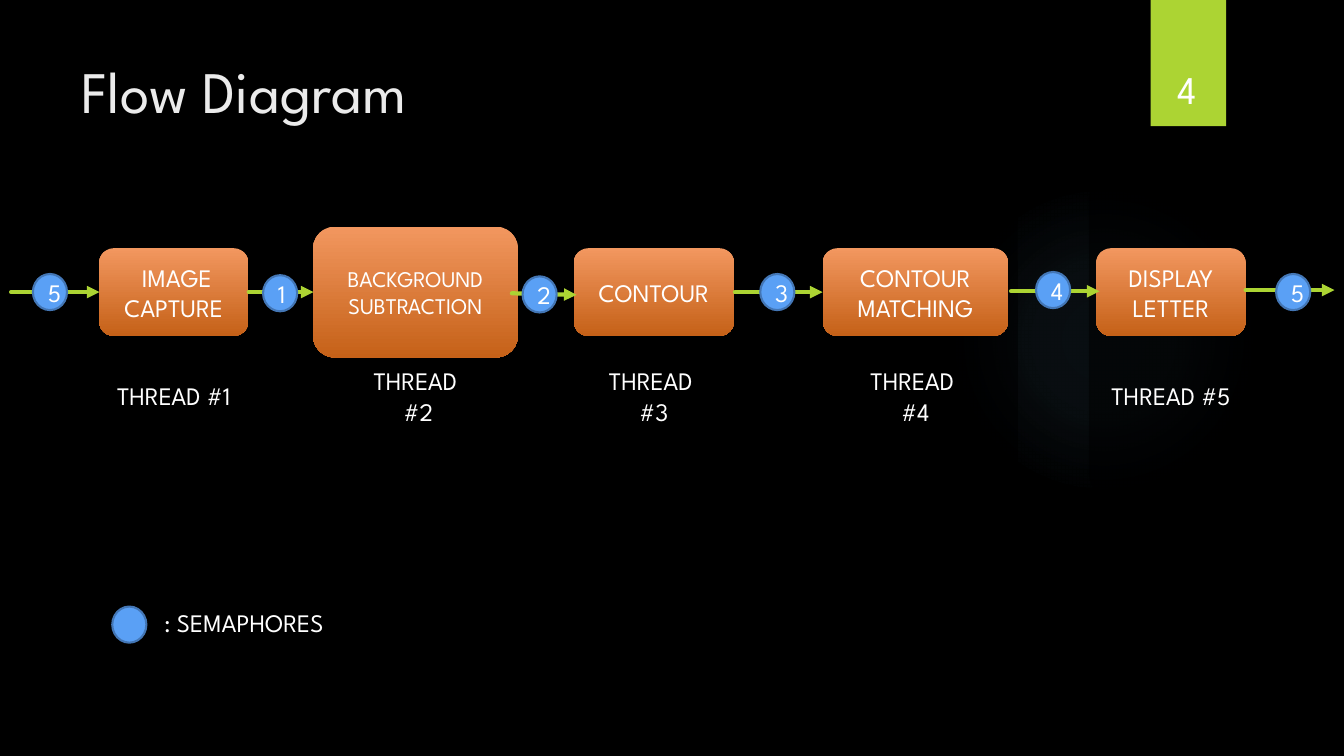
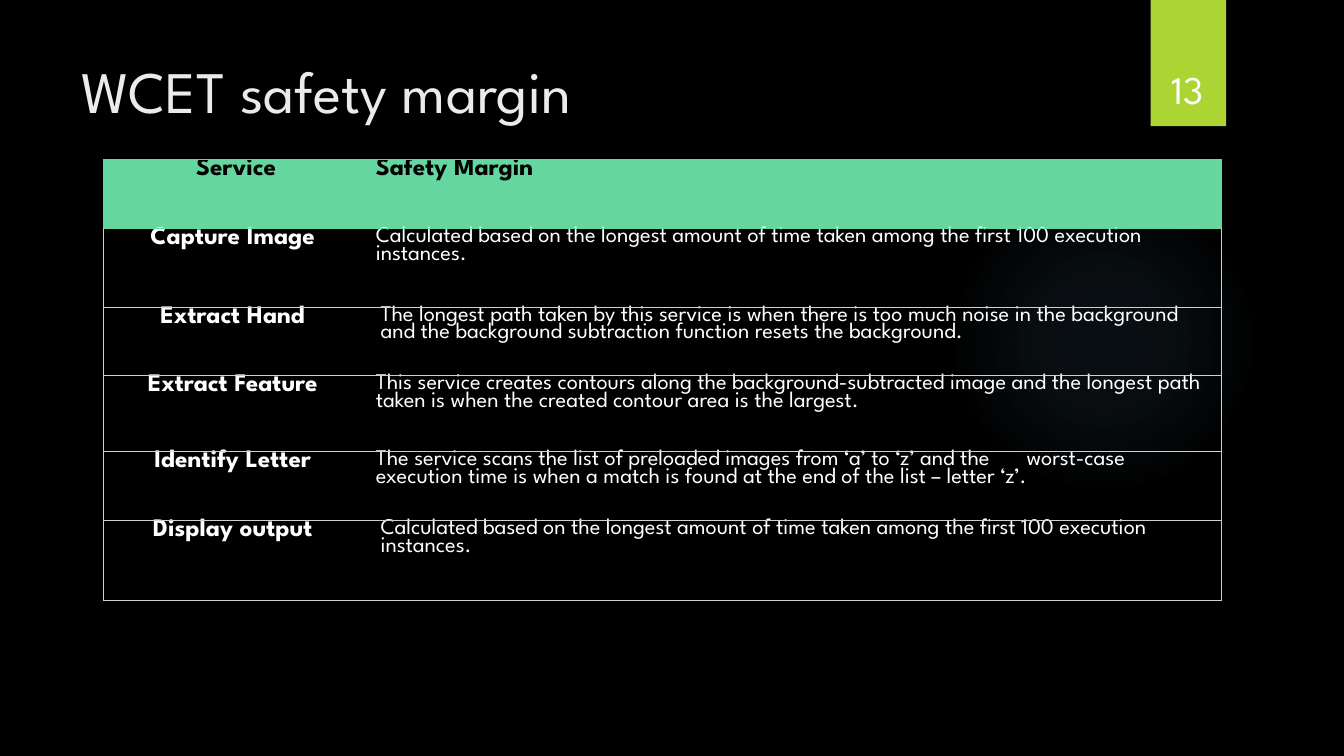
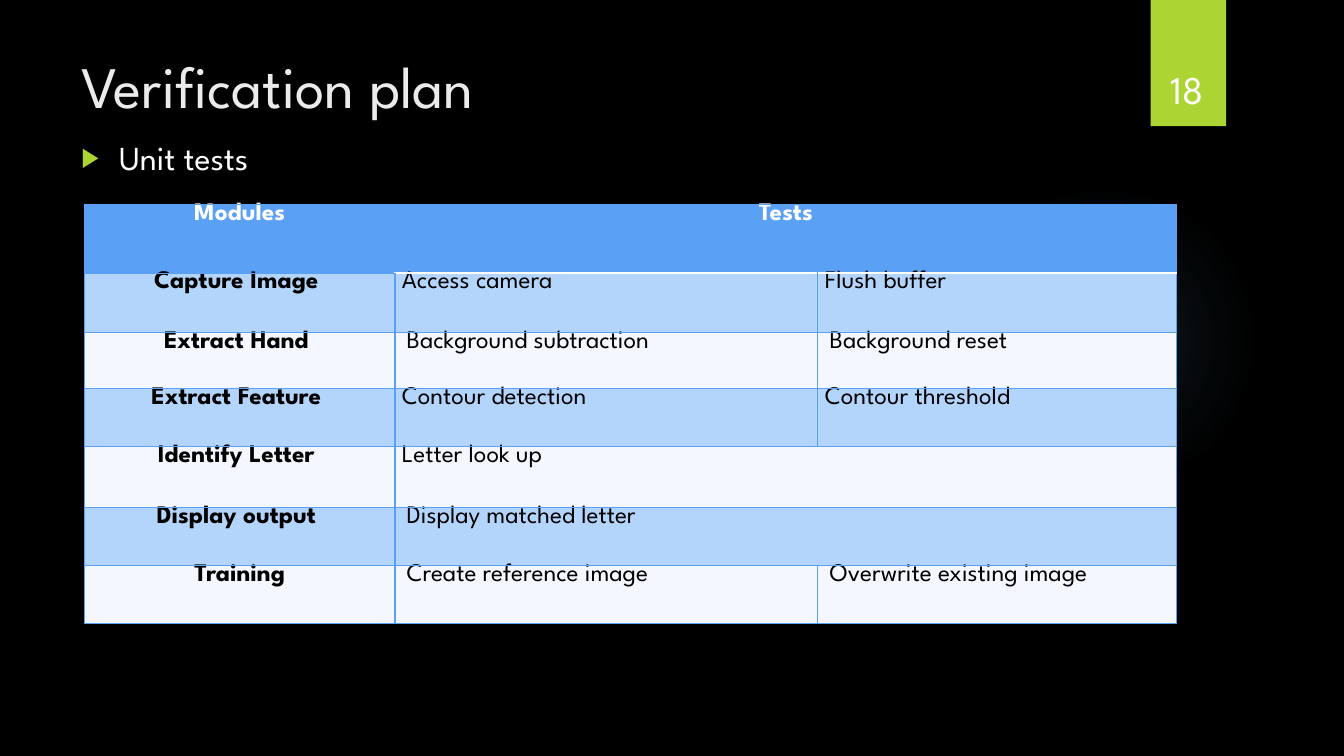
from lxml import etree
from pptx import Presentation
from pptx import util as u
from pptx.dml.color import RGBColor
from pptx.enum import shapes, text
from pptx.oxml.ns import qn

Cm, Pt = u.Cm, u.Pt
FONT = "League Spartan"
HUES = {
    "back": "000000", "text": "FFFFFF", "title": "EBEBEB", "lime": "ACD433",
    "glow": "7AC4F0", "light": "F2975F", "dark": "C56118", "blue": "5AA0F5",
    "rim": "4376B5", "green": "65D6A0", "rule": "D0D0D0",
    "odd": "B4D5FB", "even": "F4F7FF",
}
MID, LEFT = text.PP_ALIGN.CENTER, text.PP_ALIGN.LEFT
NO_STYLE = "{2D5ABB26-0587-4C30-8999-92F81FD0307C}"

# Flow: name, size, thread label, centre, panel width, box width, box height
STEPS = [
    (" IMAGE\nCAPTURE", 18, "THREAD #1", 4.38, 4.29, 3.76, 2.21),
    ("BACKGROUND\nSUBTRACTION", 16, "THREAD\n #2", 10.47, 5.38, 5.16, 3.3),
    ("CONTOUR", 18, "THREAD \n#3", 16.48, 4.45, 4.04, 2.21),
    ("CONTOUR MATCHING", 18, "THREAD \n#4", 23.07, 5.16, 4.67, 2.21),
    ("DISPLAY LETTER", 18, "THREAD #5", 29.51, 4.14, 3.76, 2.21),
]
# Arrows: number, start, end, start y, end y, circle centre
LINKS = [
    ("5", 0.28, 2.51, 7.36, 7.36, (1.26, 7.36)),
    ("1", 6.27, 7.9, 7.36, 7.36, (7.06, 7.39)),
    ("2", 12.9, 14.53, 7.39, 7.43, (13.6, 7.42)),
    ("3", 18.52, 20.73, 7.36, 7.36, (19.59, 7.36)),
    ("4", 25.48, 27.71, 7.34, 7.34, (26.54, 7.31)),
    ("5", 31.39, 33.63, 7.31, 7.31, (32.59, 7.36)),
]
# Tables: a row is its height, its wide-inset flag and its cells
MARGINS = [
    (1.73, False, ["Service", "Safety Margin"]),
    (1.98, False, ["Capture Image ", "Calculated based on the longest amount of time taken "
                   "among the first 100 execution instances."]),
    (1.73, True, ["Extract Hand ", "The longest path taken by this service is when there is too "
                  "much noise in the background and the background subtraction function resets "
                  "the background."]),
    (1.91, False, ["Extract Feature ", "This service creates contours along the "
                   "background-subtracted image and the longest path taken is when the created "
                   "contour area is the largest."]),
    (1.73, False, ["Identify Letter ", "The service scans the list of preloaded images from ‘a’ "
                   "to ‘z’ and the\tworst-case execution time is when a match is found at the "
                   "end of the list – letter ‘z’."]),
    (2.03, True, ["Display output ", "Calculated based on the longest amount of time taken "
                  "among the first 100 execution instances."]),
]
TESTS = [
    (1.73, False, ["Modules", "Tests"]),
    (1.5, False, ["Capture Image ", "Access camera", "Flush buffer"]),
    (1.4, True, ["Extract Hand ", "Background subtraction", "Background reset"]),
    (1.47, False, ["Extract Feature ", "Contour detection", "Contour threshold"]),
    (1.55, False, ["Identify Letter ", "Letter look up"]),
    (1.45, True, ["Display output ", "Display matched letter"]),
    (1.45, True, ["Training", "Create reference image", "Overwrite existing image"]),
]


def rgb(name):
    return RGBColor.from_string(HUES[name])


def sub(node, tag, **attrs):
    return etree.SubElement(node, qn("a:" + tag), {k: str(v) for k, v in attrs.items()})


def write(frame, words, size=18, hue="text", bold=False, align=LEFT, space=None, tab=None):
    """Fill a text frame, one paragraph a line."""
    frame.word_wrap = True
    for i, line in enumerate(words.split("\n")):
        par = frame.add_paragraph() if i else frame.paragraphs[0]
        par.alignment = align
        if space:
            par.line_spacing = space
        if tab and "\t" in line:
            sub(sub(par._p.get_or_add_pPr(), "tabLst"), "tab", pos=Cm(tab), algn="l")
        run = par.add_run()
        run.text = line
        font = run.font
        font.name, font.size, font.bold = FONT, Pt(size), bold
        font.color.rgb = rgb(hue)


def label(slide, spot, words, anchor=text.MSO_ANCHOR.TOP, **form):
    frame = slide.shapes.add_textbox(*map(Cm, spot)).text_frame
    frame.vertical_anchor = anchor
    write(frame, words, **form)
    return frame


def shape(slide, kind, spot, hue=None, rim=None):
    item = slide.shapes.add_shape(getattr(shapes.MSO_SHAPE, kind), *map(Cm, spot))
    item.shadow.inherit = False
    if hue:
        item.fill.solid()
        item.fill.fore_color.rgb = rgb(hue)
    if rim:
        item.line.color.rgb = rgb(rim)
        item.line.width = Pt(1.5)
    else:
        item.line.fill.background()
    item.text_frame.vertical_anchor = text.MSO_ANCHOR.MIDDLE
    return item


def around(x, y, wide, high):
    return x - wide / 2, y - high / 2, wide, high


def glow(slide):
    item = shape(slide, "OVAL", (23.9, 4.65, 7.82, 7.82))
    grad = etree.Element(qn("a:gradFill"), rotWithShape="1")
    stops = sub(grad, "gsLst")
    for pos, alpha in ((0, 7), (36, 6), (69, 0)):
        tint = sub(sub(stops, "gs", pos=pos * 1000), "srgbClr", val=HUES["glow"])
        sub(tint, "alpha", val=alpha * 1000)
    sub(sub(grad, "path", path="circle"), "fillToRect", l=50000, t=50000, r=50000, b=50000)
    item._element.spPr.find(qn("a:prstGeom")).addnext(grad)


def start(deck, title, page, top=1.25):
    """Add a slide with the shared background, page tab and title."""
    slide = deck.slides.add_slide(deck.slide_layouts[6])
    slide.background.fill.solid()
    slide.background.fill.fore_color.rgb = rgb("back")
    glow(slide)
    shape(slide, "RECTANGLE", (29, 0, 1.9, 3.18), "lime")

    def head():
        label(slide, (1.8, top, 26.14, 3.89), title, size=42, hue="title")
        label(slide, (28.75, 0.83, 2.34, 2.13), page, text.MSO_ANCHOR.BOTTOM,
              size=28, align=MID)
    return slide, head


def arrow(slide, x, y, to, end):
    line = slide.shapes.add_connector(shapes.MSO_CONNECTOR.STRAIGHT, *map(Cm, (x, y, to, end)))
    line.line.color.rgb = rgb("lime")
    line.line.width = Pt(3)
    props = line._element.spPr
    stroke = props.find(qn("a:ln"))
    stroke.set("cap", "rnd")
    sub(stroke, "tailEnd", type="triangle")
    sub(props, "effectLst")


def dot(slide, spot, mark=""):
    item = shape(slide, "OVAL", around(*spot, 0.86, 0.91), "blue", "rim")
    if mark:
        write(item.text_frame, mark, align=MID)


def edges(cell, sides):
    """Set cell borders from a dict of side: (hue, points) or None."""
    props = cell._tc.get_or_add_tcPr()
    for at, side in enumerate("LRTB"):
        edge = sides.get(side)
        line = etree.Element(qn("a:ln" + side), w=str(Pt(edge[1]) if edge else 0))
        if edge:
            sub(sub(line, "solidFill"), "srgbClr", val=HUES[edge[0]])
        else:
            sub(line, "noFill")
        props.insert(at, line)


def grid(slide, spot, cols, rows, look, body=18, tab=None):
    """Draw a table; look(row, column) gives fill, text hue and borders."""
    high = sum(row[0] for row in rows)
    frame = slide.shapes.add_table(len(rows), len(cols), *map(Cm, (*spot, sum(cols), high)))
    table = frame.table
    table.first_row = table.horz_banding = False
    table._tbl.tblPr.find(qn("a:tableStyleId")).text = NO_STYLE
    for col, wide in zip(table.columns, cols):
        col.width = Cm(wide)
    for r, (tall, inset, words) in enumerate(rows):
        table.rows[r].height = Cm(tall)
        if len(words) < len(cols):
            table.cell(r, len(words) - 1).merge(table.cell(r, len(cols) - 1))
        for c in range(len(cols)):
            cell = table.cell(r, c)
            fill, hue, sides = look(r, c)
            if fill:
                cell.fill.solid()
                cell.fill.fore_color.rgb = rgb(fill)
            else:
                cell.fill.background()
            edges(cell, sides)
            cell.margin_top = cell.margin_bottom = 0
            cell.margin_left = cell.margin_right = Cm(0.3 if inset and c else 0.18)
            if c < len(words):
                strong = r == 0 or c == 0
                central = c == 0 or (r == 0 and len(words) < len(cols))
                write(cell.text_frame, words[c], size=18 if strong else body, hue=hue,
                      bold=strong, align=MID if central else LEFT, space=0.86, tab=tab)


def plain(r, c):
    """Green header, open rows with thin rules."""
    green, rule = ("green", 0.75), ("rule", 0.75)
    if r == 0:
        return "green", "back", dict.fromkeys("LRTB", green)
    sides = {"T": green if r == 1 else rule, "B": rule, "RL"[c == 0]: rule}
    return None, "text", sides


def banded(r, c):
    """Blue header, striped rows, heavier line after the first column."""
    sides = dict.fromkeys("LRTB", ("blue", 0.75))
    if r and c < 2:
        sides["RL"[c]] = ("blue", 1.5)
    if r < 2 and c:
        sides["BT"[r]] = ("text", 2.25)
    if r == 0:
        return "blue", "text", sides
    return ("odd" if r % 2 else "even"), "back", sides


def flow(deck):
    slide, head = start(deck, "Flow Diagram", "4")
    # Thread panels
    for _, _, thread, x, wide, _, _ in STEPS:
        panel = shape(slide, "ROUNDED_RECTANGLE", (x - wide / 2, 4.35, wide, 8.26), "back")
        tint = panel._element.spPr.find(qn("a:solidFill"))[0]
        sub(tint, "alpha", val=50000)
        panel.text_frame.margin_top = Cm(3.12)
        write(panel.text_frame, thread, align=MID)
    head()
    # Step boxes
    for name, size, _, x, _, wide, high in STEPS:
        box = shape(slide, "ROUNDED_RECTANGLE", around(x, 7.36, wide, high))
        box.fill.gradient()
        box.fill.gradient_angle = 270
        for stop, hue, pos in zip(box.fill.gradient_stops, ("light", "dark"), (0, 1)):
            stop.color.rgb = rgb(hue)
            stop.position = pos
        write(box.text_frame, name, size=size, align=MID)
    # Arrows and semaphores
    for mark, x, to, y, end, spot in LINKS:
        arrow(slide, x, y, to, end)
        dot(slide, spot, mark)
    dot(slide, (3.26, 15.74))
    label(slide, (3.89, 15.18, 5.21, 1.02), ": SEMAPHORES")


def margin(deck):
    slide, head = start(deck, "WCET safety margin", "13")
    head()
    grid(slide, (2.61, 4.03), (6.68, 21.49), MARGINS, plain, body=16, tab=16.4)


def verify(deck):
    slide, head = start(deck, "Verification plan", "18", top=1.12)
    head()
    frame = label(slide, (1.8, 3.33, 24.84, 1.5), "Unit tests", size=24)
    props = frame.paragraphs[0]._p.get_or_add_pPr()
    props.set("marL", str(Cm(0.95)))
    props.set("indent", str(-Cm(0.95)))
    sub(sub(props, "buClr"), "srgbClr", val=HUES["lime"])
    sub(props, "buSzPct", val=80000)
    sub(props, "buFont", typeface="Arial")
    sub(props, "buChar", char="▶")
    grid(slide, (2.13, 5.15), (7.82, 10.66, 9.05), TESTS, banded)


def main():
    deck = Presentation()
    deck.slide_width, deck.slide_height = Cm(33.87), Cm(19.05)
    for build in (flow, margin, verify):
        build(deck)
    deck.save("out.pptx")


if __name__ == "__main__":
    main()
